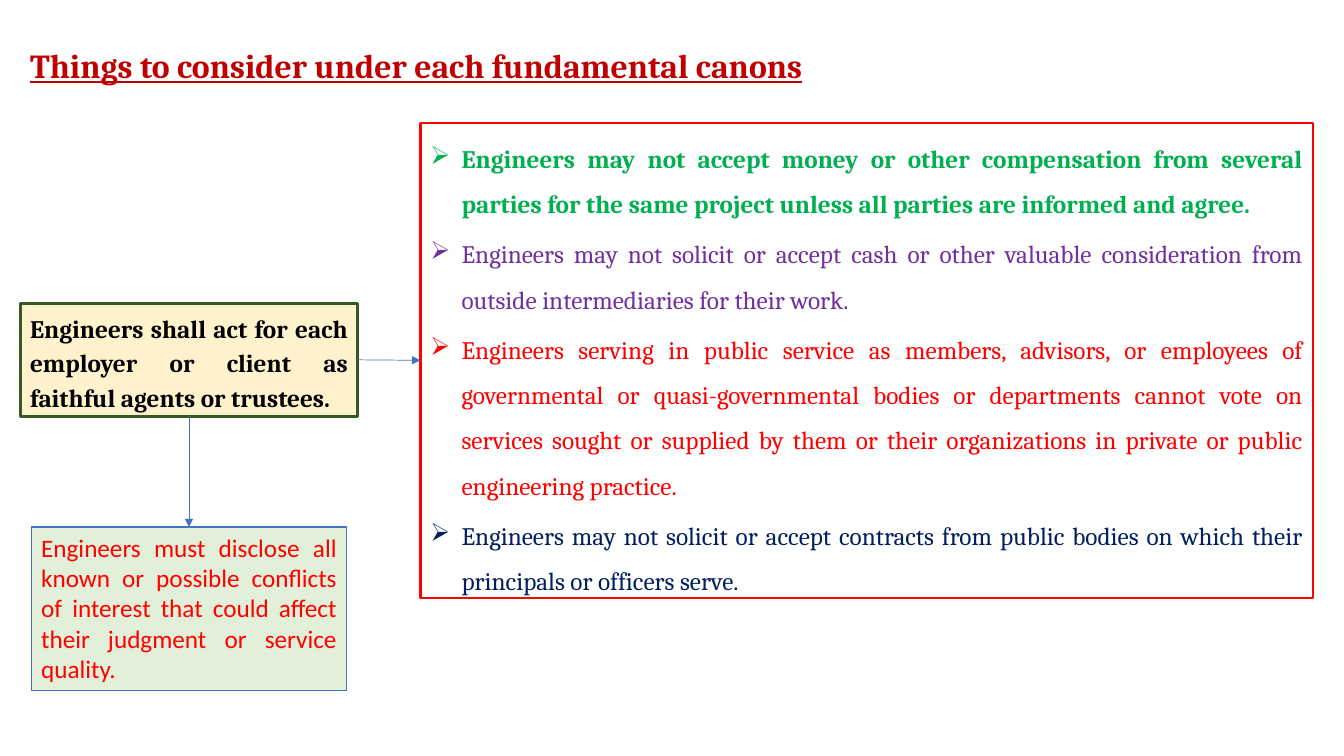
from dataclasses import dataclass
from typing import Optional

from lxml.etree import SubElement
from pptx import Presentation
from pptx.dml.color import RGBColor
from pptx.enum.shapes import MSO_CONNECTOR, MSO_SHAPE
from pptx.enum.text import MSO_ANCHOR, PP_ALIGN
from pptx.oxml.ns import qn
from pptx.shapes.autoshape import Shape
from pptx.shapes.connector import Connector
from pptx.slide import Slide
from pptx.text.text import TextFrame
from pptx.util import Inches, Pt


@dataclass(frozen=True)
class Theme:
    serif: str = "Cambria"
    sans: str = "Calibri"
    head: int = 24
    body: int = 18
    title: str = "C00000"
    black: str = "000000"
    red: str = "FF0000"
    green: str = "00B050"
    purple: str = "7030A0"
    navy: str = "002060"
    blue: str = "4472C4"
    olive: str = "385723"
    cream: str = "FFF2CC"
    mint: str = "E2F0D9"


THEME = Theme()


@dataclass(frozen=True)
class Box:
    left: float
    top: float
    width: float
    height: float
    line: str
    weight: float
    fill: Optional[str] = None


@dataclass(frozen=True)
class Point:
    text: str
    color: str
    bold: bool = False


CANON = Box(0.2, 3.01, 3.35, 1.12, THEME.olive, 2.25, THEME.cream)
PANEL = Box(4.17, 1.22, 8.85, 4.71, THEME.red, 1.5)
NOTE = Box(0.31, 5.23, 3.13, 1.62, THEME.blue, 1, THEME.mint)

POINTS = [
    Point("Engineers may not accept money or other compensation from several "
          "parties for the same project unless all parties are informed and agree.",
          THEME.green, True),
    Point("Engineers may not solicit or accept cash or other valuable "
          "consideration from outside intermediaries for their work.", THEME.purple),
    Point("Engineers serving in public service as members, advisors, or employees "
          "of governmental or quasi-governmental bodies or departments cannot vote "
          "on services sought or supplied by them or their organizations in private "
          "or public engineering practice.", THEME.red),
    Point("Engineers may not solicit or accept contracts from public bodies on "
          "which their principals or officers serve.", THEME.navy),
]


def write(frame: TextFrame, text: str, *, color: str, font: str = THEME.serif,
          size: int = THEME.body, bold: bool = False, under: bool = False,
          align: PP_ALIGN = PP_ALIGN.JUSTIFY, space: float = 1.0,
          after: float = 0, bullet: str = "") -> None:
    """Fill the empty first paragraph, or add one after the last."""
    para = frame.paragraphs[0]
    if para.runs:
        para = frame.add_paragraph()
    para.alignment = align
    para.line_spacing = space
    para.space_after = Pt(after)
    run = para.add_run()
    run.text = text
    run.font.name = font
    run.font.size = Pt(size)
    run.font.bold = bold
    run.font.underline = under
    run.font.color.rgb = RGBColor.from_string(color)
    if bullet:
        props = para._p.get_or_add_pPr()
        props.set("marL", str(Inches(0.31)))
        props.set("indent", str(-Inches(0.31)))
        SubElement(props, qn("a:buChar")).set("char", bullet)


def draw(slide: Slide, box: Box) -> Shape:
    shape = slide.shapes.add_shape(
        MSO_SHAPE.RECTANGLE, Inches(box.left), Inches(box.top),
        Inches(box.width), Inches(box.height))
    shape.shadow.inherit = False
    if box.fill:
        shape.fill.solid()
        shape.fill.fore_color.rgb = RGBColor.from_string(box.fill)
    else:
        shape.fill.background()
    shape.line.color.rgb = RGBColor.from_string(box.line)
    shape.line.width = Pt(box.weight)
    shape.text_frame.word_wrap = True
    shape.text_frame.vertical_anchor = MSO_ANCHOR.TOP
    return shape


def join(slide: Slide, start: Shape, side: int, end: Shape, target: int) -> Connector:
    """Draw an arrow between the numbered sides of two boxes."""
    arrow = slide.shapes.add_connector(MSO_CONNECTOR.STRAIGHT, 0, 0, 0, 0)
    arrow.begin_connect(start, side)
    arrow.end_connect(end, target)
    arrow.line.color.rgb = RGBColor.from_string(THEME.blue)
    arrow.line.width = Pt(0.5)
    SubElement(arrow.line._get_or_add_ln(), qn("a:tailEnd")).set("type", "triangle")
    SubElement(arrow._element.spPr, qn("a:effectLst"))
    return arrow


def main() -> None:
    deck = Presentation()
    deck.slide_width = Inches(13.33)
    deck.slide_height = Inches(7.5)
    slide = deck.slides.add_slide(deck.slide_layouts[6])

    title = slide.shapes.add_textbox(
        Inches(0.2), Inches(0.34), Inches(9.75), Inches(0.53)).text_frame
    title.word_wrap = True
    write(title, "Things to consider under each fundamental canons",
          color=THEME.title, size=THEME.head, bold=True, under=True,
          align=PP_ALIGN.LEFT, space=1.15, after=10)

    canon = draw(slide, CANON)
    write(canon.text_frame, "Engineers shall act for each employer or client as "
          "faithful agents or trustees.", color=THEME.black, bold=True,
          space=1.15, after=3.4)

    panel = draw(slide, PANEL)
    for point in POINTS:
        write(panel.text_frame, point.text, color=point.color, bold=point.bold,
              space=1.5, after=3.4, bullet="➢")

    note = draw(slide, NOTE)
    write(note.text_frame, "Engineers must disclose all known or possible conflicts "
          "of interest that could affect their judgment or service quality.",
          color=THEME.red, font=THEME.sans)

    join(slide, canon, 3, panel, 1)
    join(slide, canon, 2, note, 0)
    deck.save("out.pptx")


if __name__ == "__main__":
    main()
